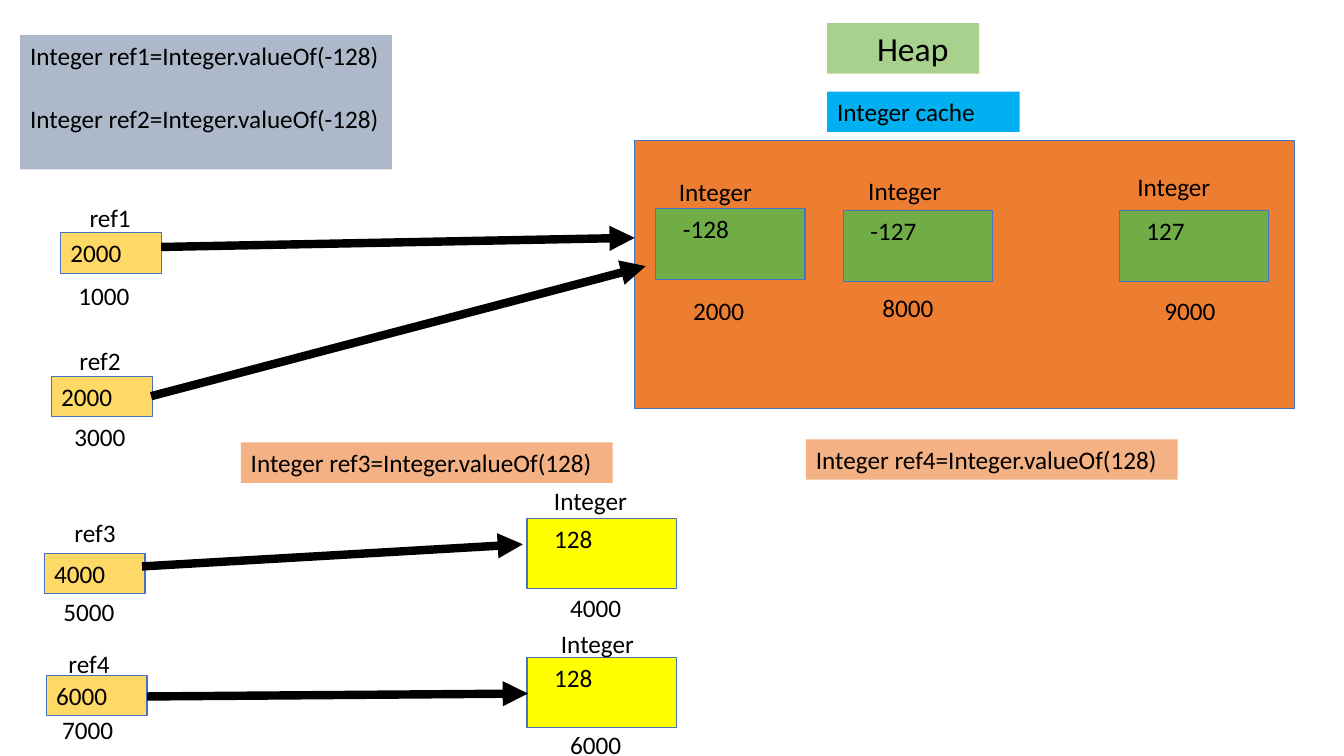
from pptx import Presentation
from pptx.dml.color import RGBColor as RGB
from pptx.enum.shapes import MSO_CONNECTOR as CONN, MSO_SHAPE as SHAPE
from pptx.enum.text import MSO_ANCHOR as ANCHOR, PP_ALIGN as ALIGN
from pptx.oxml.ns import qn
from pptx.util import Pt
from lxml.etree import SubElement

COLORS = {
    "text": "000000", "outline": "4472C4", "heap": "A9D18E", "cache_title": "00B0F0",
    "cache": "ED7D31", "cached": "70AD47", "new": "FFFF00", "ref": "FFD966",
    "cached_code": "ADB9CA", "new_code": "F4B183",
}

prs = Presentation()
prs.slide_width, prs.slide_height = Pt(960.5), Pt(540)
s = prs.slides.add_slide(prs.slide_layouts[6])


def add_box(text, x, y, w, h=28.8, fill=None, outline=False, size=18, indent=0):
    pos = Pt(x), Pt(y), Pt(w), Pt(h)
    if fill:
        sp = s.shapes.add_shape(SHAPE.RECTANGLE, *pos)
        sp.shadow.inherit = False
        sp.fill.solid()
        sp.fill.fore_color.rgb = RGB.from_string(COLORS[fill])
        if outline:
            sp.line.color.rgb = RGB.from_string(COLORS["outline"])
            sp.line.width = Pt(0.75)
        else:
            sp.line.fill.background()
    else:
        sp = s.shapes.add_textbox(*pos)
    if not text:
        return
    tf = sp.text_frame
    tf.word_wrap = True
    tf.vertical_anchor = ANCHOR.TOP
    tf.margin_left, tf.margin_right = Pt(7.2 + indent), Pt(0)
    tf.margin_top = tf.margin_bottom = Pt(3.6)
    tf.text = text
    p = tf.paragraphs[0]
    p.alignment = ALIGN.LEFT
    p.font.name, p.font.size = "Calibri", Pt(size)
    p.font.color.rgb = RGB.from_string(COLORS["text"])


def add_arrow(x1, y1, x2, y2):
    c = s.shapes.add_connector(CONN.STRAIGHT, Pt(x1), Pt(y1), Pt(x2), Pt(y2))
    c.line.color.rgb = RGB.from_string(COLORS["text"])
    c.line.width = Pt(6)
    SubElement(c.line._get_or_add_ln(), qn("a:tailEnd"), type="triangle")
    SubElement(c._element.spPr, qn("a:effectLst"))


# Heap and cache area
add_box("Heap", 591.1, 16.6, 108.7, 36, "heap", size=24, indent=28.5)
add_box("", 453.6, 100.1, 471.6, 191.5, "cache", True)
add_box("Integer cache", 591.1, 65.5, 137.5, fill="cache_title")

# Code statements
for code, x, y, h, fill in [
    ("Integer ref1=Integer.valueOf(-128)", 14.4, 25.2, 50.4, "cached_code"),
    ("Integer ref2=Integer.valueOf(-128)", 14.4, 70.6, 50.4, "cached_code"),
    ("Integer ref3=Integer.valueOf(128)", 172.1, 316.1, 28.8, "new_code"),
    ("Integer ref4=Integer.valueOf(128)", 576, 313.9, 28.8, "new_code"),
]:
    add_box(code, x, y, 265.7, h, fill)

# Integer objects: value box, type label, address label
for value, fill, x, y, type_x, type_y, address, addr_x, addr_y in [
    ("-128", "cached", 468.7, 149, 478.1, 122.4, "2000", 488.2, 207.4),
    ("-127", "cached", 602.6, 150.5, 613.4, 121.7, "8000", 623.5, 205.2),
    ("127", "cached", 799.9, 150.5, 805.7, 118.8, "9000", 825.1, 207.4),
    ("128", "new", 376.6, 370.1, 388.8, 343.4, "4000", 400.3, 419.8),
    ("128", "new", 376.6, 469.4, 393.8, 445, "6000", 400.3, 517.7),
]:
    add_box(value, x, y, 106.6, 50.4, fill, True, indent=12.2)
    add_box("Integer", type_x, type_y, 72.7)
    add_box(address, addr_x, addr_y, 53.3)

# References: held address, name, own address
for i, (held, x, y, name_x, name_y, address, addr_x, addr_y) in enumerate([
    ("2000", 43.2, 166.3, 56.9, 141.1, "1000", 49, 196.6),
    ("2000", 36.7, 268.6, 49.7, 243.4, "3000", 46.1, 297.4),
    ("4000", 31.7, 395.3, 46.1, 365.8, "5000", 38.2, 422.6),
    ("6000", 33.1, 482.4, 41.8, 459.4, "7000", 37.4, 506.9),
], start=1):
    add_box(held, x, y, 72, fill="ref", outline=True)
    add_box(f"ref{i}", name_x, name_y, 46.8)
    add_box(address, addr_x, addr_y, 53.3)

# Arrows from references to objects
for ends in [
    (115.2, 176.4, 453.6, 169.9),
    (108, 283, 461.5, 190.1),
    (101.5, 404.6, 373.7, 388.8),
    (105.1, 497.5, 377.3, 495.4),
]:
    add_arrow(*ends)

prs.save("out.pptx")
